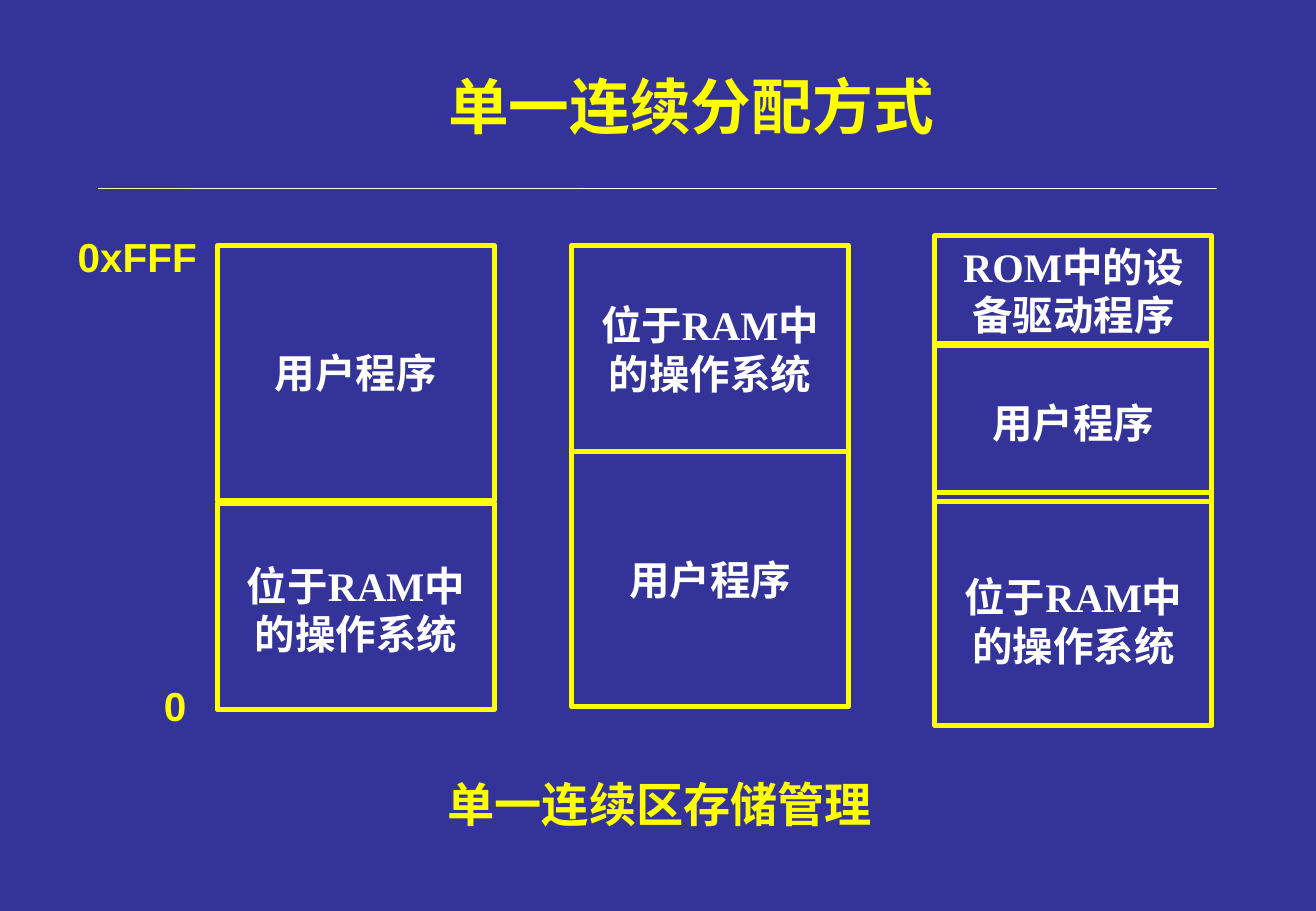
from dataclasses import dataclass

from pptx import Presentation
from pptx import util as u
from pptx.dml.color import RGBColor
from pptx.enum import shapes, text
from pptx.oxml.ns import qn

# Content: labels, then memory columns of (top, height, text, top inset), all in cm
TITLE = ("单一连续分配方式", (9.12, 1.32, 10.67, 1.78))
CAPTION = ("单一连续区存储管理", (9.12, 16.08, 9.37, 1.45))
ADDRESSES = [
    ("0", (3.18, 14.12, 0.97, 1.27)),
    ("0xFFF", (1.37, 4.72, 3.0, 1.27)),
]
USER = "用户程序"
SYSTEM = "位于RAM中的操作系统"
DRIVERS = "ROM中的设备驱动程序"
COLUMNS = [
    (4.55, [(5.13, 5.33, USER, 0.13), (10.52, 4.32, SYSTEM, 0.25)]),
    (11.96, [(5.13, 4.32, SYSTEM, 0.13), (9.45, 5.33, USER, 0.13)]),
    (19.56, [(4.93, 2.29, DRIVERS, 0.13), (7.19, 3.3, USER, 0.13),
             (10.29, 4.88, SYSTEM, 0.63)]),
]
COLUMN_WIDTH = 5.79

# Title rule: each colour runs through a chain of x positions
RULE_TOP = 3.94
RULE = [
    ("FFFF99", [2.06, 4.37]),
    ("FFFFCC", [3.89, 6.65, 9.4, 12.14]),
    ("FFFFFF", [12.14, 14.91, 17.65, 19.02, 25.45]),
]


@dataclass(frozen=True)
class Theme:
    background: str = "333399"
    accent: str = "FFFF00"
    body: str = "FFFFFF"
    sans: str = "Arial"
    serif: str = "Times New Roman"
    chinese: str = "Noto Sans CJK SC"
    title_size: int = 36
    caption_size: int = 28
    body_size: int = 24
    border: float = 3
    rule: float = 0.75


THEME = Theme()


def place(box):
    return [u.Cm(value) for value in box]


def write(shape, words, *, size, color, font, wrap=False, top_inset=0.13):
    frame = shape.text_frame
    frame.word_wrap = wrap
    frame.auto_size = text.MSO_AUTO_SIZE.NONE
    frame.vertical_anchor = text.MSO_ANCHOR.MIDDLE
    frame.margin_left = frame.margin_right = u.Cm(0.25)
    frame.margin_top, frame.margin_bottom = u.Cm(top_inset), u.Cm(0.13)
    paragraph = frame.paragraphs[0]
    paragraph.alignment = text.PP_ALIGN.CENTER
    run = paragraph.add_run()
    run.text = words
    run.font.size = u.Pt(size)
    run.font.bold = True
    run.font.name = font
    run.font.color.rgb = RGBColor.from_string(color)
    east_asian = run.font._element.makeelement(qn("a:ea"), {"typeface": THEME.chinese})
    run.font._element.find(qn("a:latin")).addnext(east_asian)


def add_label(slide, words, box, size):
    label = slide.shapes.add_textbox(*place(box))
    write(label, words, size=size, color=THEME.accent, font=THEME.sans)


def add_rule_segment(slide, start, end, color):
    segment = slide.shapes.add_connector(
        shapes.MSO_CONNECTOR.STRAIGHT, *place((start, RULE_TOP, end, RULE_TOP)))
    segment.line.color.rgb = RGBColor.from_string(color)
    segment.line.width = u.Pt(THEME.rule)
    properties = segment._element.spPr
    properties.append(properties.makeelement(qn("a:effectLst"), {}))


def add_memory_block(slide, box, words, top_inset):
    block = slide.shapes.add_shape(shapes.MSO_SHAPE.RECTANGLE, *place(box))
    block.shadow.inherit = False
    block.fill.background()
    block.line.color.rgb = RGBColor.from_string(THEME.accent)
    block.line.width = u.Pt(THEME.border)
    write(block, words, size=THEME.body_size, color=THEME.body, font=THEME.serif,
          wrap=True, top_inset=top_inset)


def main():
    presentation = Presentation()
    presentation.slide_width, presentation.slide_height = u.Cm(27.53), u.Cm(19.05)
    slide = presentation.slides.add_slide(presentation.slide_layouts[5])
    slide.background.fill.solid()
    slide.background.fill.fore_color.rgb = RGBColor.from_string(THEME.background)

    # Title and rule
    words, box = TITLE
    title = slide.shapes.title
    title.left, title.top, title.width, title.height = place(box)
    write(title, words, size=THEME.title_size, color=THEME.accent, font=THEME.chinese)
    for color, stops in RULE:
        for start, end in zip(stops, stops[1:]):
            add_rule_segment(slide, start, end, color)

    # Memory layouts
    for left, blocks in COLUMNS:
        for top, height, words, top_inset in blocks:
            add_memory_block(slide, (left, top, COLUMN_WIDTH, height), words, top_inset)

    # Addresses and caption
    for words, box in ADDRESSES:
        add_label(slide, words, box, THEME.body_size)
    add_label(slide, *CAPTION, THEME.caption_size)

    presentation.save("out.pptx")


if __name__ == "__main__":
    main()
